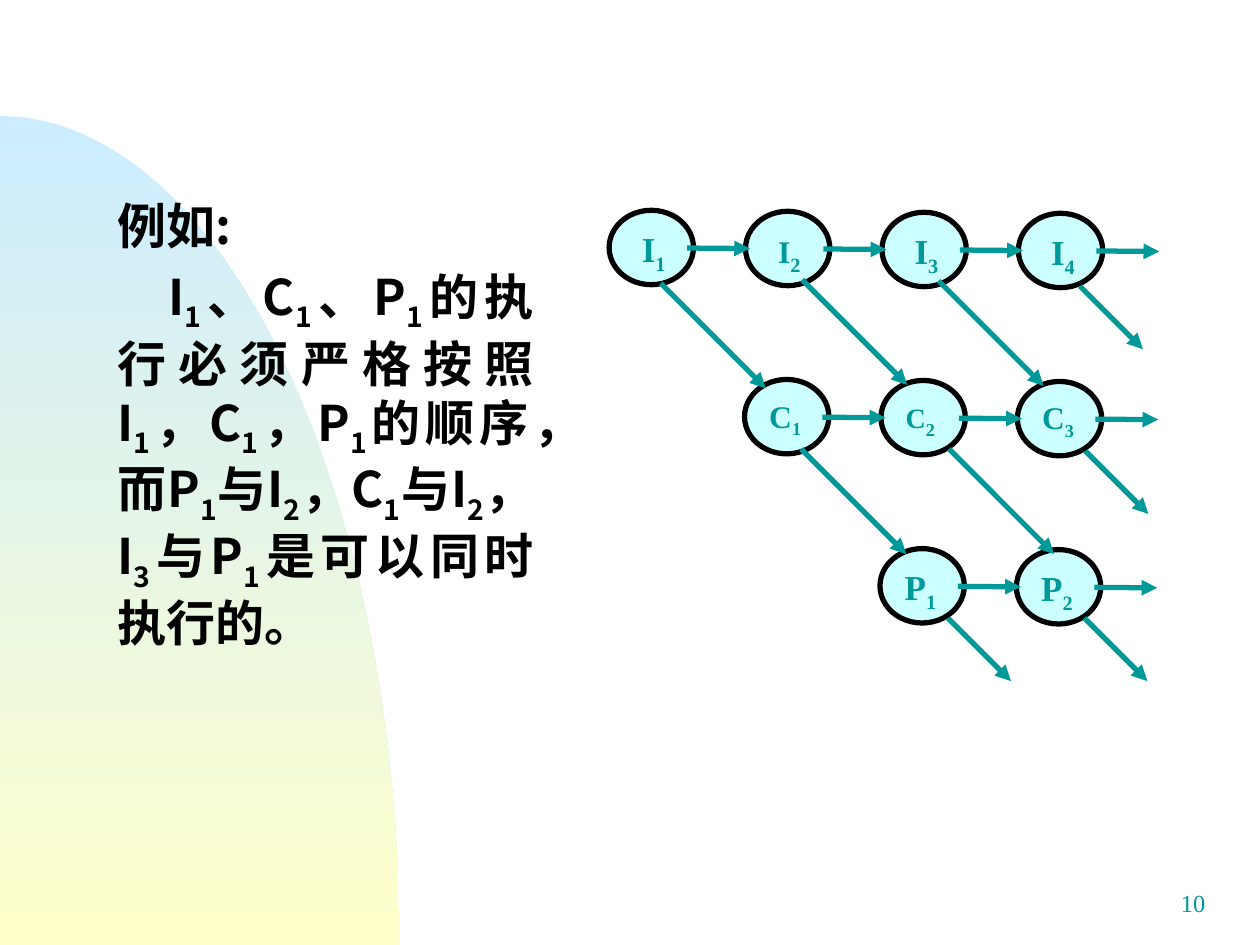
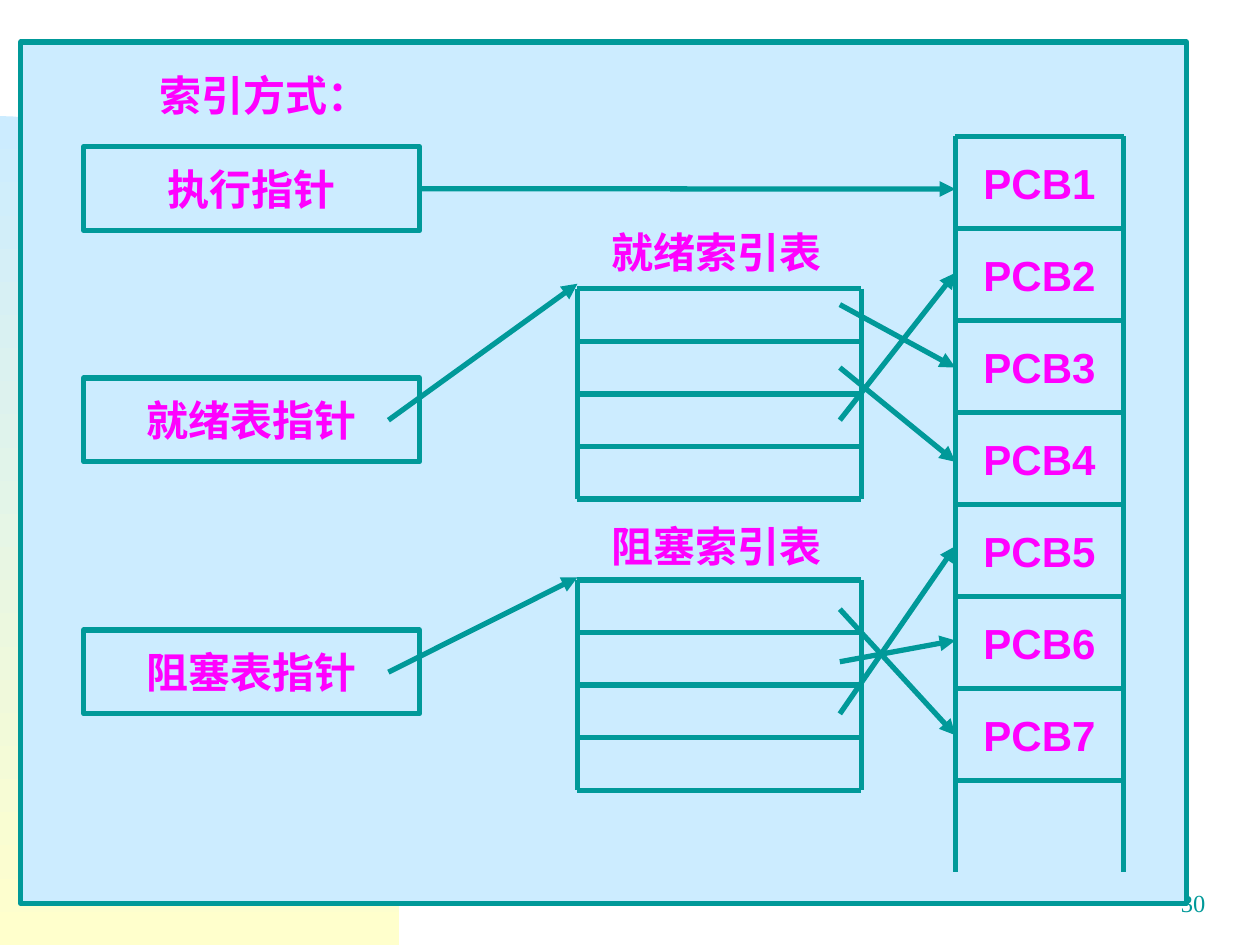
import itertools
import math
import pptx
import pptx.util
import pptx.dml.color
import pptx.enum.shapes
import pptx.enum.text
import pptx.oxml.ns
from lxml import etree

Cm = pptx.util.Cm
Pt = pptx.util.Pt
RGBColor = pptx.dml.color.RGBColor
ALIGN = pptx.enum.text.PP_ALIGN
ANCHOR = pptx.enum.text.MSO_ANCHOR
SHAPE = pptx.enum.shapes.MSO_SHAPE
qn = pptx.oxml.ns.qn

TEAL = RGBColor(0x00, 0x99, 0x99)
SKY = RGBColor(0xCC, 0xEC, 0xFF)
CREAM = RGBColor(0xFF, 0xFF, 0xCC)
AQUA = RGBColor(0xCC, 0xFF, 0xFF)
MAGENTA = RGBColor(0xFF, 0x00, 0xFF)
BLACK = RGBColor(0x00, 0x00, 0x00)
INK = RGBColor(0x01, 0x00, 0x00)
CJK = "Noto Sans CJK SC"

PAGE = {"size": Pt(14), "name": "Times New Roman", "bold": False}
NODE = {"size": Pt(20), "name": "Times New Roman", "bold": True}
BODY = {"size": Pt(28), "name": CJK, "bold": True}
LABEL = {"size": Pt(24), "name": "Arial", "bold": True}


def write(sp, lines, fmt, color, align, anchor=ANCHOR.TOP, sub_size=None):
    tf = sp.text_frame
    tf.word_wrap = True
    tf.vertical_anchor = anchor
    for i, text in enumerate(lines):
        p = tf.add_paragraph() if i else tf.paragraphs[0]
        p.alignment = align
        if sub_size:
            parts = [(sub, "".join(g)) for sub, g in itertools.groupby(text, str.isdigit)]
        else:
            parts = [(False, text)]
        for sub, part in parts:
            r = p.add_run()
            r.text = part
            for key, value in fmt.items():
                setattr(r.font, key, value)
            r.font.color.rgb = color
            rPr = r.font._element
            etree.SubElement(rPr, qn("a:ea")).set("typeface", CJK)
            if sub:
                r.font.size = sub_size
                rPr.set("baseline", "-25000")
    return tf


def draw_line(s, x1, y1, x2, y2, arrow=False):
    cn = s.shapes.add_connector(pptx.enum.shapes.MSO_CONNECTOR.STRAIGHT,
                                Cm(x1), Cm(y1), Cm(x2), Cm(y2))
    cn.line.color.rgb = TEAL
    cn.line.width = Pt(3)
    if arrow:
        etree.SubElement(cn.line._get_or_add_ln(), qn("a:tailEnd")).set("type", "triangle")
    etree.SubElement(cn._element.spPr, qn("a:effectLst"))
    return cn


prs = pptx.Presentation()
prs.slide_width = Cm(25.4)
prs.slide_height = Cm(19.05)
s1 = prs.slides.add_slide(prs.slide_layouts[6])
s2 = prs.slides.add_slide(prs.slide_layouts[5])

arc = [(Cm(8.05 * math.sin(math.radians(a))), Cm(19.05 - 16.71 * math.cos(math.radians(a))))
       for a in range(0, 91, 2)]
fb = s1.shapes.build_freeform(*arc[0])
fb.add_line_segments(arc[1:] + [(0, Cm(19.05))], close=True)
sp = fb.convert_to_shape()
sp.shadow.inherit = False
sp.line.fill.background()
sp.fill.gradient()
sp.fill.gradient_angle = 270
for stop, color, position in zip(sp.fill.gradient_stops, (SKY, CREAM), (0, 1)):
    stop.color.rgb = color
    stop.position = position
prs.slide_master.shapes._spTree.insert(2, sp._element)

for s, number in ((s1, "10"), (s2, "30")):
    sp = s.shapes.add_textbox(Cm(19.26), Cm(17.78), Cm(5.29), Cm(1.27))
    write(sp, [number], PAGE, TEAL, ALIGN.RIGHT)

nodes = [
    ("I1", 0, 0, 20, 20, 1.04, 1.47, 2.12),
    ("I2", 0, 1, 18, 20, 1.14, 1.38, 2.12),
    ("I3", 0, 2, 20, 20, 1.14, 1.38, 2.12),
    ("I4", 0, 3, 20, 20, 1.24, 1.47, 1.27),
    ("C1", 1, 1, 18, 18, 1.14, 1.4, 2.12),
    ("C2", 1, 2, 16, 18, 1.37, 1.38, 2.12),
    ("C3", 1, 3, 18, 18, 1.37, 1.4, 1.27),
    ("P1", 2, 2, 20, 20, 1.37, 1.4, 1.27),
    ("P2", 2, 3, 20, 20, 1.37, 1.38, 1.27),
]
arrows = []
for name, row, col, size, sub_size, dx, dy, length in nodes:
    x = 12.28 + 2.75 * col - 0.02 * row
    y = 4.24 + 0.02 * col + 3.39 * row
    sp = s1.shapes.add_shape(SHAPE.OVAL, Cm(x), Cm(y), Cm(1.7), Cm(1.5))
    sp.shadow.inherit = False
    sp.fill.solid()
    sp.fill.fore_color.rgb = AQUA
    sp.line.color.rgb = BLACK
    sp.line.width = Pt(3)
    tf = write(sp, [name], {**NODE, "size": Pt(size)}, TEAL, ALIGN.LEFT, sub_size=Pt(sub_size))
    tf.margin_left = Cm(0.41 if row == 0 else 0.25)
    tf.margin_right = 0
    arrows.append((x + 1.57, y + 0.76, x + 2.84, y + 0.77))
    arrows.append((x + dx, y + dy, x + dx + length, y + dy + length))
for ends in arrows:
    draw_line(s1, *ends, arrow=True)

sp = s1.shapes.add_textbox(Cm(2.12), Cm(3.81), Cm(8.89), Cm(9.47))
example = [
    "例如:",
    "I1、C1、P1的执行必须严格按照I1，C1，P1的顺序，而P1与I2，C1与I2，I3与P1是可以同时执行的。",
]
tf = write(sp, example, BODY, INK, ALIGN.JUSTIFY, sub_size=Pt(28))
p = tf.paragraphs[1]
p.space_before = Pt(7)
p._p.get_or_add_pPr().set("indent", str(Cm(1.02)))

boxes = [
    ("", 0.42, 0.85, 23.5, 17.36),
    ("执行指针", 1.69, 2.96, 6.77, 1.69),
    ("就绪表指针", 1.69, 7.62, 6.77, 1.69),
    ("阻塞表指针", 1.69, 12.7, 6.77, 1.69),
]
pointers = {}
for text, x, y, w, h in boxes:
    sp = s2.shapes.add_shape(SHAPE.RECTANGLE, Cm(x), Cm(y), Cm(w), Cm(h))
    sp.shadow.inherit = False
    sp.fill.solid()
    sp.fill.fore_color.rgb = SKY
    sp.line.color.rgb = TEAL
    sp.line.width = Pt(3)
    if text:
        write(sp, [text], LABEL, MAGENTA, ALIGN.CENTER, ANCHOR.MIDDLE)
        pointers[text] = sp

title = s2.shapes.title
title.left, title.top, title.width, title.height = Cm(2.96), Cm(1.27), Cm(5.5), Cm(1.27)
write(title, ["索引方式："], LABEL, MAGENTA, ALIGN.LEFT)
s2.shapes._spTree.append(title._element)

for text, y in (("就绪索引表", 4.45), ("阻塞索引表", 10.37)):
    sp = s2.shapes.add_textbox(Cm(12.07), Cm(y), Cm(5.08), Cm(1.27))
    write(sp, [text], LABEL, MAGENTA, ALIGN.LEFT)

for i in range(7):
    sp = s2.shapes.add_textbox(Cm(19.26), Cm(2.75 + 1.855 * i), Cm(3.39), Cm(1.855))
    write(sp, [f"PCB{i + 1}"], LABEL, MAGENTA, ALIGN.CENTER, ANCHOR.MIDDLE)

grids = [
    (19.26, 22.65, 2.75, 1.855, 8, 17.57),
    (11.64, 17.36, 5.82, 1.06, 5, 10.06),
    (11.64, 17.36, 11.69, 1.06, 5, 15.93),
]
for left, right, top, step, count, bottom in grids:
    for i in range(count):
        draw_line(s2, left, top + step * i, right, top + step * i)
    for x in (left, right):
        draw_line(s2, x, top, x, bottom)

cn = draw_line(s2, 8.46, 3.81, 19.26, 3.81, arrow=True)
cn.begin_connect(pointers["执行指针"], 3)
links = [
    (7.83, 8.47, 11.64, 5.72), (7.83, 13.55, 11.64, 11.64),
    (16.93, 6.14, 19.26, 7.41), (16.93, 7.41, 19.26, 9.31), (16.93, 8.47, 19.26, 5.5),
    (16.93, 12.28, 19.26, 14.82), (16.93, 13.34, 19.26, 12.91), (16.93, 14.39, 19.26, 11.01),
]
for ends in links:
    draw_line(s2, *ends, arrow=True)

prs.save("out.pptx")
